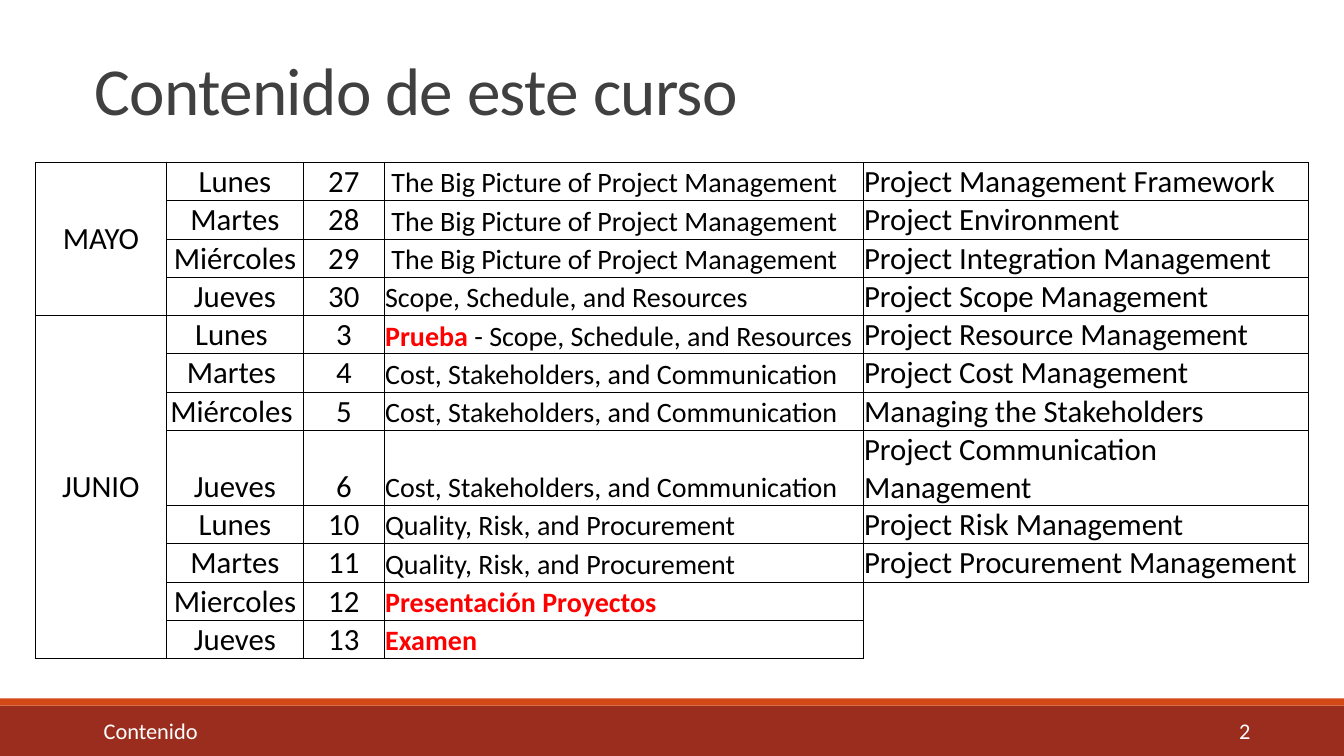
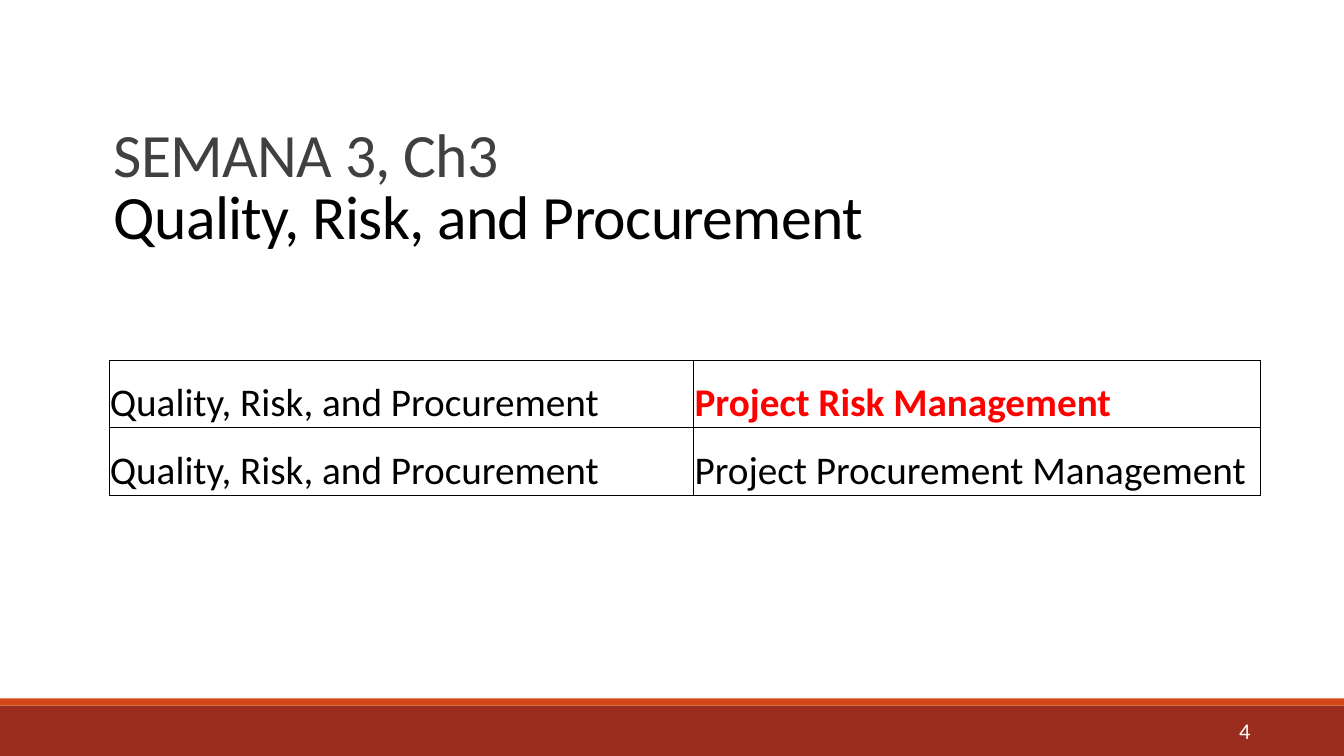
import pptx
import pptx.dml.color
import pptx.enum.shapes
import pptx.enum.text
import pptx.oxml
import pptx.oxml.ns
import pptx.util
from pptx.util import Inches

RGBColor = pptx.dml.color.RGBColor
ALIGN = pptx.enum.text.PP_ALIGN
ANCHOR = pptx.enum.text.MSO_ANCHOR

BAND = RGBColor(0x9B, 0x2D, 0x1F)
STRIPE = RGBColor(0xD3, 0x48, 0x17)
WHITE = RGBColor(0xFF, 0xFF, 0xFF)
TITLE_GRAY = RGBColor(0x40, 0x40, 0x40)
BLACK = RGBColor(0, 0, 0)
RED = RGBColor(0xFF, 0, 0)
FONT = "Calibri"
NO_TABLE_STYLE = "{2D5ABB26-0587-4C30-8999-92F81FD0307C}"

BIG_PICTURE = " The Big Picture of Project Management"
SCOPE = "Scope, Schedule, and Resources"
COST = "Cost, Stakeholders, and Communication"
QUALITY = "Quality, Risk, and Procurement"

# A cell is a string, or a list of (text, is highlighted) runs.
MONTHS = [
    ("MAYO", [
        ("Lunes", "27", BIG_PICTURE, "Project Management Framework"),
        ("Martes", "28", BIG_PICTURE, "Project Environment"),
        ("Miércoles", "29", BIG_PICTURE, "Project Integration Management"),
        ("Jueves", "30", SCOPE, "Project Scope Management"),
    ]),
    ("JUNIO", [
        ("Lunes ", "3", [("Prueba", True), (" - " + SCOPE, False)],
         "Project Resource Management"),
        ("Martes ", "4", COST, "Project Cost Management"),
        ("Miércoles ", "5", COST, "Managing the Stakeholders"),
        ("Jueves", "6", COST, "Project Communication Management"),
        ("Lunes", "10", QUALITY, "Project Risk Management"),
        ("Martes", "11", QUALITY, "Project Procurement Management"),
        ("Miercoles", "12", [("Presentación Proyectos", True)], ""),
        ("Jueves", "13", [("Examen", True)], ""),
    ]),
]
WEEK_TOPICS = [
    (QUALITY, [("Project Risk Management", True)]),
    (QUALITY, "Project Procurement Management"),
]


def style(paragraph, size, color, align=ALIGN.LEFT):
    paragraph.alignment = align
    paragraph.font.name = FONT
    paragraph.font.size = pptx.util.Pt(size)
    paragraph.font.color.rgb = color


def add_text_box(slide, left, top, width, height):
    box = slide.shapes.add_textbox(
        Inches(left), Inches(top), Inches(width), Inches(height))
    box.text_frame.word_wrap = True
    return box.text_frame


def add_footer(slide, number, label):
    bands = [(7, 0.5, BAND), (6.93, 0.07, STRIPE)]
    for top, height, color in bands:
        band = slide.shapes.add_shape(
            pptx.enum.shapes.MSO_SHAPE.RECTANGLE,
            0, Inches(top), Inches(13.33), Inches(height))
        band.shadow.inherit = False
        band.fill.solid()
        band.fill.fore_color.rgb = color
        band.line.fill.background()
    parts = [(label, 0.93, 8, ALIGN.LEFT), (number, 11.5, 1, ALIGN.RIGHT)]
    for text, left, width, align in parts:
        if text:
            frame = add_text_box(slide, left, 7.07, width, 0.35)
            frame.vertical_anchor = ANCHOR.MIDDLE
            frame.text = text
            style(frame.paragraphs[0], 16, WHITE, align)


def add_title(slide, place, size, lines):
    """Write one paragraph for each (text, color, line spacing)."""
    frame = add_text_box(slide, *place)
    frame.text = "\n".join(text for text, _, _ in lines)
    for paragraph, (_, color, spacing) in zip(frame.paragraphs, lines):
        style(paragraph, size, color)
        paragraph.line_spacing = spacing
        for run in paragraph.runs:
            run._r.get_or_add_rPr().set("spc", "-50")


def set_borders(cell, sides):
    """Draw the named sides in black and leave the others without a line."""
    properties = cell._tc.get_or_add_tcPr()
    for index, side in enumerate("LRTB"):
        fill = ('<a:solidFill><a:srgbClr val="000000"/></a:solidFill>'
                if side in sides else "<a:noFill/>")
        border = pptx.oxml.parse_xml(
            f'<a:ln{side} {pptx.oxml.ns.nsdecls("a")} w="6350">{fill}</a:ln{side}>')
        properties.insert(index, border)


def fill_cell(cell, content, size, align=ALIGN.LEFT, anchor=ANCHOR.BOTTOM, sides="LRTB"):
    cell.margin_left = cell.margin_right = cell.margin_top = Inches(0.01)
    cell.margin_bottom = 0
    cell.vertical_anchor = anchor
    cell.fill.background()
    set_borders(cell, sides)
    paragraph = cell.text_frame.paragraphs[0]
    style(paragraph, size, BLACK, align)
    runs = [(content, False)] if isinstance(content, str) else content
    for text, highlighted in runs:
        if text:
            run = paragraph.add_run()
            run.text = text
            if highlighted:
                run.font.bold = True
                run.font.color.rgb = RED


def add_plain_table(slide, left, top, widths, row_count, row_height):
    frame = slide.shapes.add_table(
        row_count, len(widths), Inches(left), Inches(top),
        Inches(sum(widths)), Inches(row_height * row_count))
    table = frame.table
    table.first_row = table.horz_banding = False
    table._tbl.tblPr.find(pptx.oxml.ns.qn("a:tableStyleId")).text = NO_TABLE_STYLE
    for column, width in zip(table.columns, widths):
        column.width = Inches(width)
    return table


def add_calendar(slide):
    row_count = sum(len(days) for _, days in MONTHS)
    table = add_plain_table(slide, 0.35, 1.61, [1.3, 1.36, 0.8, 4.75, 4.42], row_count, 0.38)
    columns = [(22, ALIGN.CENTER), (22, ALIGN.CENTER), (20, ALIGN.LEFT), (22, ALIGN.LEFT)]
    row = 0
    for month, days in MONTHS:
        first_row = row
        for day in days:
            fill_cell(table.cell(row, 0), month if row == first_row else "",
                      22, ALIGN.CENTER, ANCHOR.MIDDLE)
            for column, (content, (size, align)) in enumerate(zip(day, columns), 1):
                sides = "LRTB"
                if not content:
                    sides = "LT" if table.cell(row - 1, column).text else "L"
                fill_cell(table.cell(row, column), content, size, align, sides=sides)
            row += 1
        table.cell(first_row, 0).merge(table.cell(row - 1, 0))


def add_week_topics(slide):
    table = add_plain_table(slide, 1.08, 3.57, [5.8, 5.62], len(WEEK_TOPICS), 0.67)
    for row, topics in enumerate(WEEK_TOPICS):
        for column, topic in enumerate(topics):
            fill_cell(table.cell(row, column), topic, 28)


def add_slide(presentation, number, label=""):
    slide = presentation.slides.add_slide(presentation.slide_layouts[6])
    add_footer(slide, number, label)
    return slide


def main():
    presentation = pptx.Presentation()
    presentation.slide_width = Inches(13.33)
    presentation.slide_height = Inches(7.5)

    contents = add_slide(presentation, "2", "Contenido")
    add_title(contents, (0.84, 0.55, 11, 0.8), 48,
              [("Contenido de este curso", TITLE_GRAY, 0.85)])
    add_calendar(contents)

    week = add_slide(presentation, "4")
    add_title(week, (1.03, 0.73, 11.29, 2.03), 44,
              [("SEMANA 3, Ch3", TITLE_GRAY, 1.5), (QUALITY, BLACK, 0.85)])
    add_week_topics(week)

    presentation.save("out.pptx")


if __name__ == "__main__":
    main()
